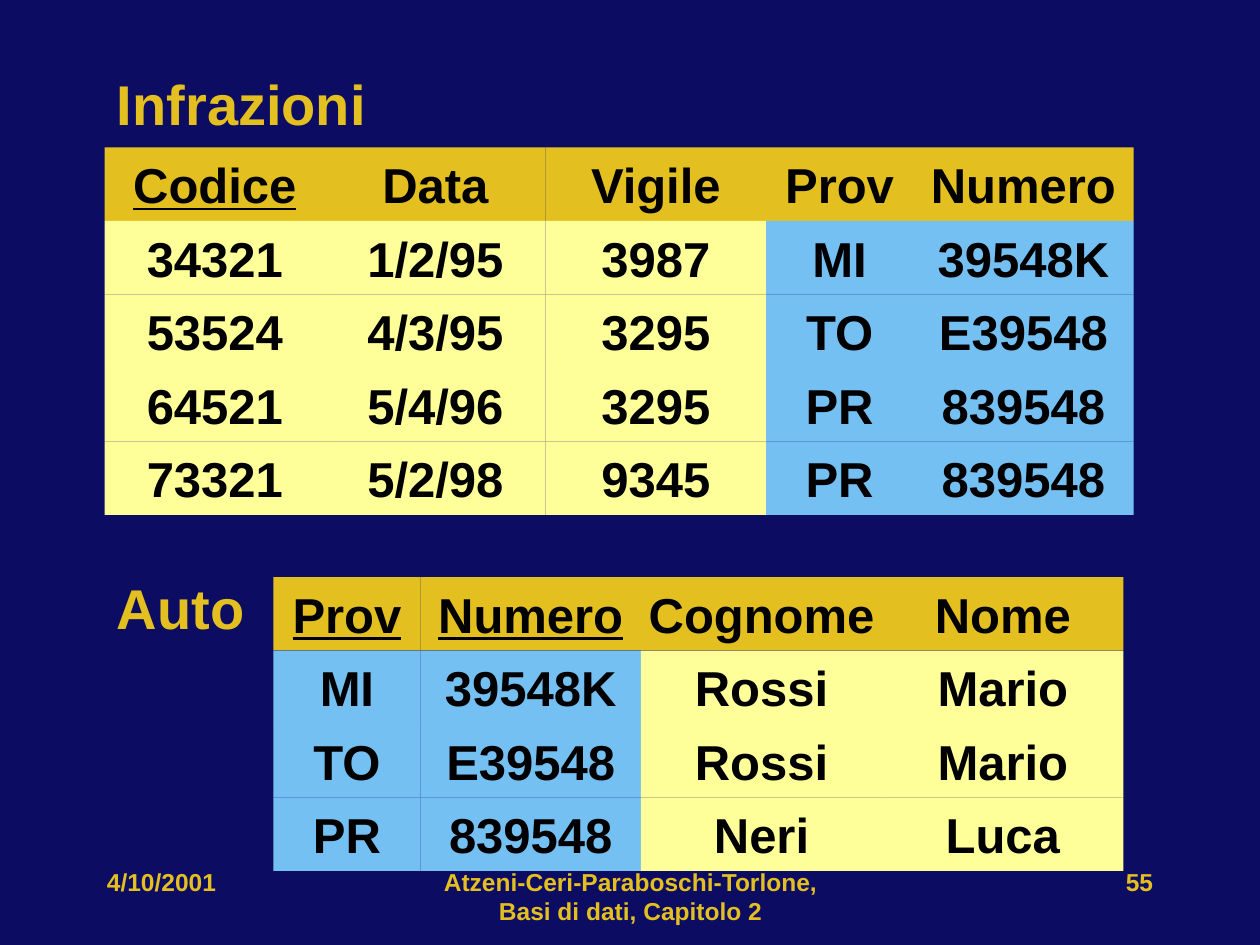
from itertools import accumulate

from pptx import Presentation
from pptx.dml.color import RGBColor
from pptx.enum.shapes import MSO_SHAPE
from pptx.enum.text import MSO_ANCHOR, PP_ALIGN
from pptx.util import Inches, Pt

LEFT, CENTER, RIGHT = PP_ALIGN.LEFT, PP_ALIGN.CENTER, PP_ALIGN.RIGHT
MIDDLE = MSO_ANCHOR.MIDDLE
RECTANGLE = MSO_SHAPE.RECTANGLE
FONT = "Arial"
NAVY, GOLD, YELLOW, BLUE, BLACK = "0C0C62", "E4BF20", "FFFF99", "75C0F3", "000000"

# Grid unit of the relations: cells are one unit high and 2 to 3.3 units wide
UNIT = 1.75 / 3
NARROW, MEDIUM, WIDE = 2 * UNIT, 3 * UNIT, 1.915

VIOLATIONS = [
    ["Codice", "Data", "Vigile", "Prov", "Numero"],
    ["34321", "1/2/95", "3987", "MI", "39548K"],
    ["53524", "4/3/95", "3295", "TO", "E39548"],
    ["64521", "5/4/96", "3295", "PR", "839548"],
    ["73321", "5/2/98", "9345", "PR", "839548"],
]
CARS = [
    ["Prov", "Numero", "Cognome", "Nome"],
    ["MI", "39548K", "Rossi", "Mario"],
    ["TO", "E39548", "Rossi", "Mario"],
    ["PR", "839548", "Neri", "Luca"],
]


def color(hex_value):
    return RGBColor.from_string(hex_value)


def write(frame, text, size=28, ink=BLACK, align=LEFT, underline=False, wrap=False):
    frame.word_wrap = wrap
    paragraph = frame.paragraphs[0]
    paragraph.alignment = align
    run = paragraph.add_run()
    run.text = text
    run.font.name = FONT
    run.font.size = Pt(size)
    run.font.bold = True
    run.font.underline = underline
    run.font.color.rgb = color(ink)


def add_text(slide, box, text, **text_format):
    shape = slide.shapes.add_textbox(*map(Inches, box))
    write(shape.text_frame, text, ink=GOLD, **text_format)


def add_cell(slide, box, text, fill, underline):
    shape = slide.shapes.add_shape(RECTANGLE, *map(Inches, box))
    shape.shadow.inherit = False
    shape.fill.solid()
    shape.fill.fore_color.rgb = color(fill)
    shape.line.fill.background()
    shape.text_frame.vertical_anchor = MIDDLE
    write(shape.text_frame, text, align=CENTER, underline=underline)


def add_relation(slide, left, top, widths, rows, key_columns, linked_columns):
    """Relation grid: keys are underlined, columns of the foreign key are blue."""
    lefts = list(accumulate(widths, initial=left))
    for row_index, values in enumerate(rows):
        is_header = row_index == 0
        for column_index, value in enumerate(values):
            body_fill = BLUE if column_index in linked_columns else YELLOW
            box = (lefts[column_index], top + row_index * UNIT, widths[column_index], UNIT)
            add_cell(slide, box, value, GOLD if is_header else body_fill,
                     underline=is_header and column_index in key_columns)


def add_footer(slide, top, height):
    for left, width, text, align in [
        (0.75, 2.08, "4/10/2001", LEFT),
        (3.42, 3.17, "Atzeni-Ceri-Paraboschi-Torlone, Basi di dati, Capitolo 2", CENTER),
        (7.17, 2.08, "55", RIGHT),
    ]:
        add_text(slide, (left, top, width, height), text, size=14, align=align, wrap=True)


def main():
    presentation = Presentation()
    presentation.slide_width, presentation.slide_height = Inches(10), Inches(7.5)
    slide = presentation.slides.add_slide(presentation.slide_layouts[6])
    slide.background.fill.solid()
    slide.background.fill.fore_color.rgb = color(NAVY)

    # Cars relation
    add_text(slide, (0.83, 4.5, 1.21, 0.64), "Auto", size=32)
    add_relation(slide, 2.17, 4.58, [NARROW, MEDIUM, WIDE, WIDE], CARS,
                 key_columns={0, 1}, linked_columns={0, 1})

    # Violations relation
    add_text(slide, (0.83, 0.5, 2.18, 0.64), "Infrazioni", size=32)
    add_relation(slide, 0.83, 1.17, [MEDIUM, MEDIUM, MEDIUM, NARROW, MEDIUM], VIOLATIONS,
                 key_columns={0}, linked_columns={3, 4})

    add_footer(slide, 6.83, 0.5)
    presentation.save("out.pptx")


if __name__ == "__main__":
    main()
